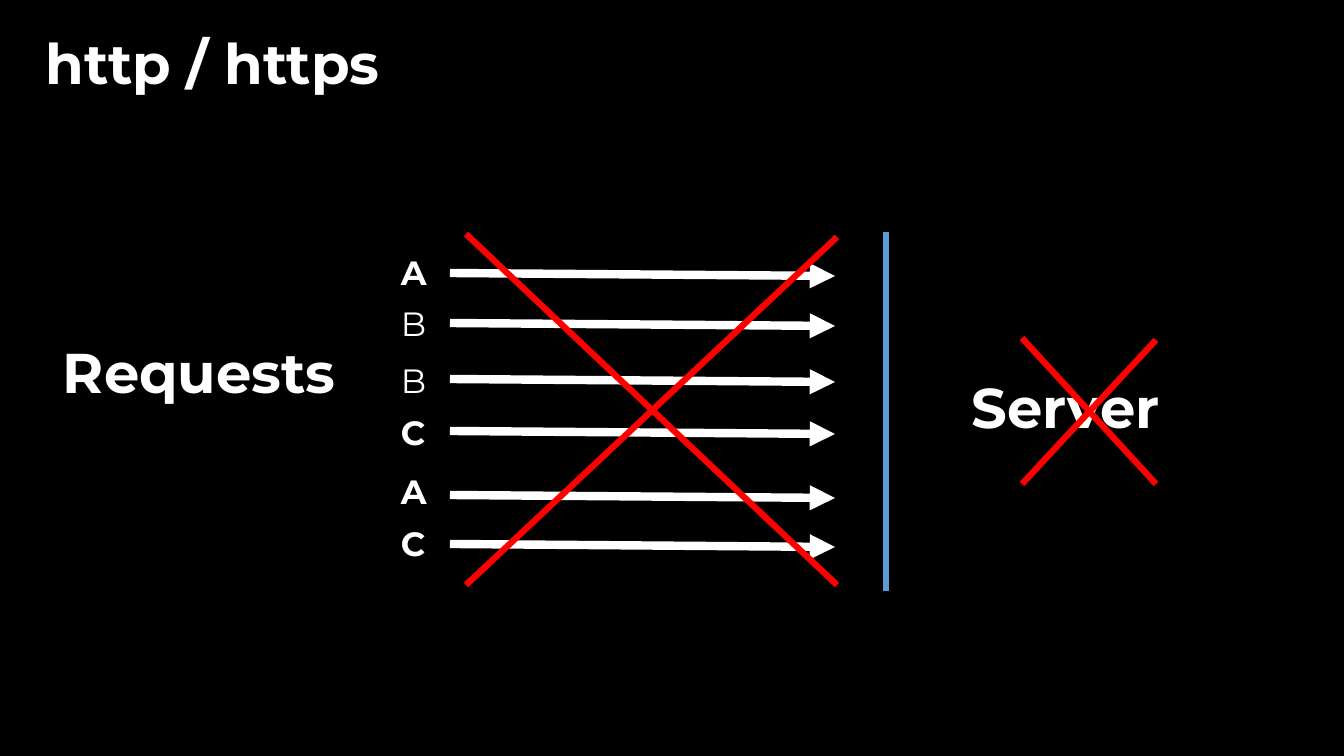
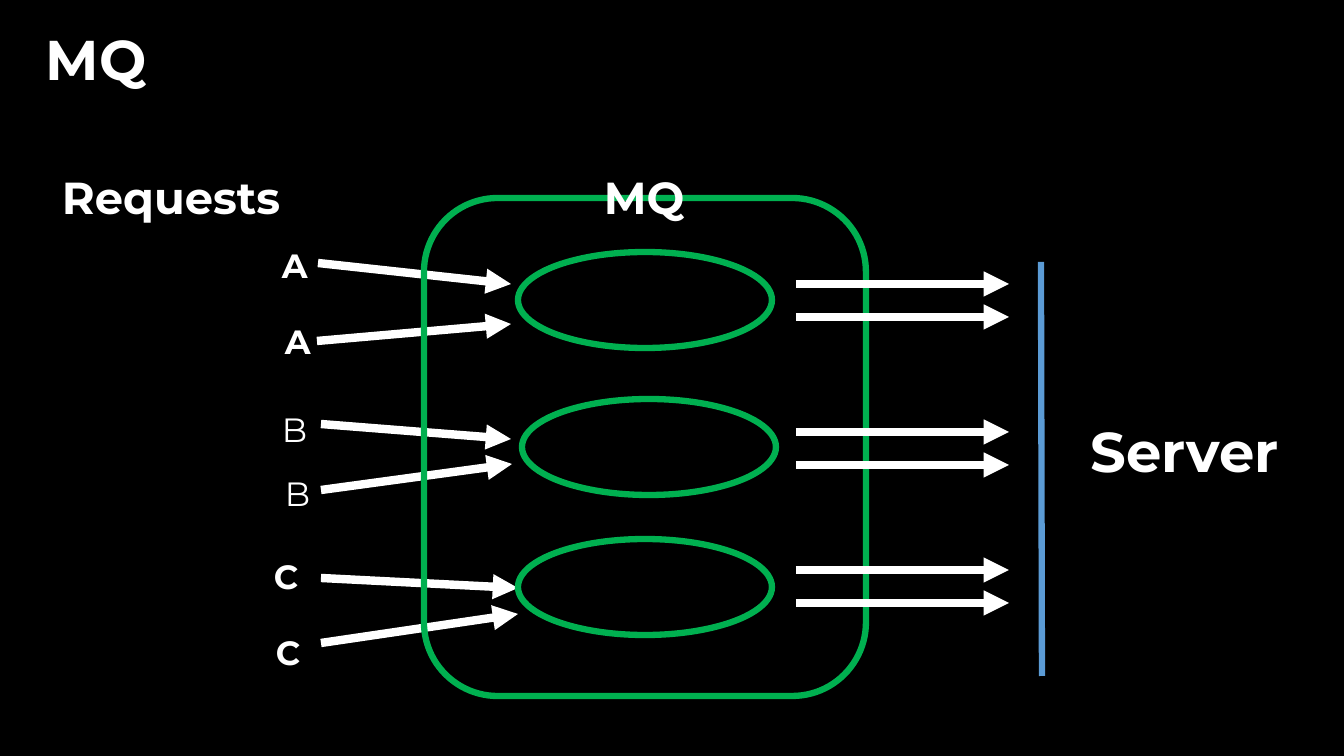
from dataclasses import dataclass

from lxml.etree import SubElement
from pptx import Presentation
from pptx.dml.color import RGBColor
from pptx.enum.shapes import MSO_CONNECTOR, MSO_SHAPE
from pptx.enum.text import MSO_AUTO_SIZE
from pptx.oxml.ns import qn
from pptx.util import Emu, Pt

SCALE = 12192000 / 1344


def px(*sizes):
    return [Emu(round(size * SCALE)) for size in sizes]


def style(item, values):
    for name, value in values.items():
        setattr(item, name, value)


@dataclass(frozen=True)
class Theme:
    black: RGBColor = RGBColor.from_string("000000")
    white: RGBColor = RGBColor.from_string("FFFFFF")
    blue: RGBColor = RGBColor.from_string("5B9BD5")
    red: RGBColor = RGBColor.from_string("FF0000")
    green: RGBColor = RGBColor.from_string("00B050")
    face: str = "Montserrat"
    large: int = 40
    medium: int = 32
    small: int = 24
    thick: float = 6
    thin: float = 4.5


class Deck:
    def __init__(self, theme):
        self.theme = theme
        self.show = Presentation()
        width, height = px(1344, 756)
        style(self.show, {"slide_width": width, "slide_height": height})
        fill = self.show.slide_master.background.fill
        fill.solid()
        fill.fore_color.rgb = theme.black

    def start(self, title, top, width):
        self.slide = self.show.slides.add_slide(self.show.slide_layouts[6])
        self.text(title, 36, top, width)

    def text(self, words, left, top, width, height=78, size=None, bold=True):
        box = self.slide.shapes.add_textbox(*px(left, top, width, height))
        frame = box.text_frame
        style(frame, {"word_wrap": True, "auto_size": MSO_AUTO_SIZE.SHAPE_TO_FIT_TEXT})
        run = frame.paragraphs[0].add_run()
        run.text = words
        style(run.font, {"name": self.theme.face, "size": Pt(size or self.theme.large),
                         "bold": bold})
        run.font.color.rgb = self.theme.white

    def label(self, letter, left, top):
        self.text(letter, left, top, 41, 50, self.theme.small, letter != "B")

    def stroke(self, item, color, width):
        item.line.fill.solid()
        item.line.fill.fore_color.rgb = color
        item.line.width = Pt(width)

    def line(self, ends, color, width=None, group=None):
        shapes = (group or self.slide).shapes
        link = shapes.add_connector(MSO_CONNECTOR.STRAIGHT, *px(*ends))
        self.stroke(link, color, width or self.theme.thin)
        SubElement(link.element.spPr, qn("a:effectLst"))
        return link

    def arrow(self, *ends):
        link = self.line(ends, self.theme.white, self.theme.thick)
        SubElement(link.element.spPr.find(qn("a:ln")), qn("a:tailEnd"), type="triangle")

    def cross(self, left, right, fall, rise, base):
        group = self.slide.shapes.add_group_shape()
        for ends in ((right, rise, left, base), (left, fall, right, base)):
            self.line(ends, self.theme.red, group=group)

    def outline(self, kind, *place):
        shape = self.slide.shapes.add_shape(kind, *px(*place))
        shape.shadow.inherit = False
        shape.fill.background()
        self.stroke(shape, self.theme.green, self.theme.thin)


def direct(deck):
    deck.start("http / https", 24, 384)
    deck.text("Requests", 53, 333, 384)
    calls = [("A", 247, 273), ("B", 298, 323), ("B", 355, 379),
             ("C", 407, 431), ("A", 466, 495), ("C", 518, 544)]
    for letter, top, level in calls:
        deck.arrow(450, level, 835, level + 3)
        deck.label(letter, 391, top)
    deck.text("Server", 962, 368, 254)
    deck.line((886, 232, 886, 591), deck.theme.blue)
    deck.cross(1022, 1156, 338, 340, 484)
    deck.cross(466, 837, 234, 237, 585)


def queued(deck):
    deck.start("MQ", 20, 140)
    medium = deck.theme.medium
    deck.text("Requests", 52, 165, 321, 65, medium)
    calls = [("A", 272, 240, (318, 263, 511, 284)),
             ("A", 275, 316, (317, 341, 511, 324)),
             ("B", 272, 404, (321, 424, 511, 439)),
             ("B", 275, 468, (321, 490, 512, 464)),
             ("C", 264, 551, (321, 578, 518, 588)),
             ("C", 266, 627, (321, 643, 518, 614))]
    for letter, left, top, ends in calls:
        deck.arrow(*ends)
        deck.label(letter, left, top)
    deck.text("Server", 1081, 412, 254)
    deck.line((1041, 262, 1042, 676), deck.theme.blue)
    deck.outline(MSO_SHAPE.ROUNDED_RECTANGLE, 424, 198, 442, 498)
    deck.text("MQ", 594, 165, 103, 65, medium)
    for left, top, level in ((518, 252, 284), (522, 399, 432), (518, 539, 570)):
        deck.outline(MSO_SHAPE.OVAL, left, top, 254, 96)
        for y in (level, level + 33):
            deck.arrow(796, y, 1009, y)


deck = Deck(Theme())
direct(deck)
queued(deck)
deck.show.save("out.pptx")
